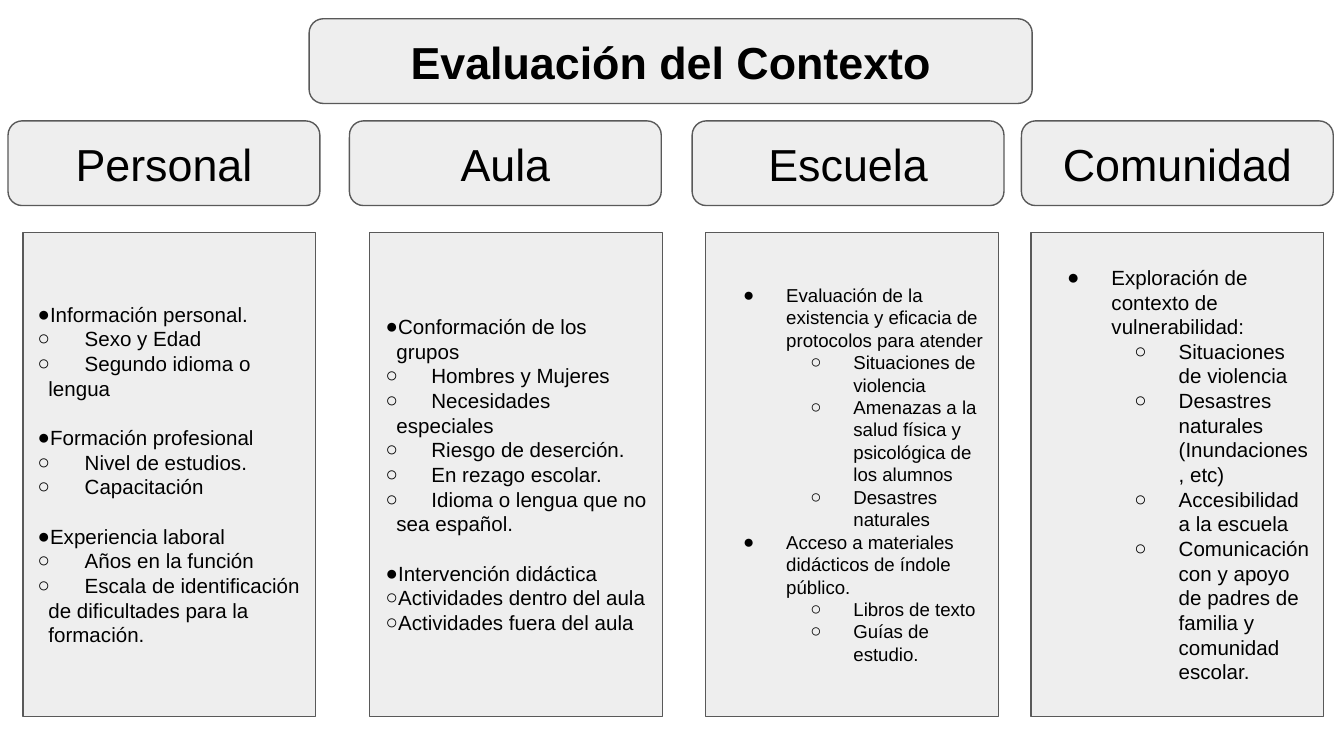
from lxml.etree import SubElement
from pptx import Presentation
from pptx.dml.color import RGBColor
from pptx.enum.shapes import MSO_SHAPE
from pptx.enum.text import MSO_ANCHOR, MSO_AUTO_SIZE, PP_ALIGN
from pptx.oxml.ns import qn
from pptx.util import Inches, Pt

COLORS = {"fill": "EEEEEE", "line": "595959", "text": "000000"}
SLIDE_WIDTH = 10
TITLE_BOX = [Inches(length) for length in (2.3, 0.14, 5.38, 0.63)]
LIST_TOP, LIST_WIDTH, LIST_HEIGHT = 1.73, 2.18, 3.6
HEADING_TOP, HEADING_WIDTH, HEADING_HEIGHT = 0.9, 2.32, 0.63
GAP = 13.2  # points between groups of a list

# Each item is (level, text); a tab moves the first line in.
COLUMNS = [
    {"heading": "Personal", "heading_left": 0.06, "list_left": 0.17, "size": 11,
     "margins": (0.09, 0.09), "hanging": 0.08, "gap": GAP, "items": [
         (0, "Información personal."),
         (1, "\tSexo y Edad"),
         (1, "\tSegundo idioma o lengua"),
         (0, "Formación profesional"),
         (1, "\tNivel de estudios."),
         (1, "\tCapacitación"),
         (0, "Experiencia laboral"),
         (1, "\tAños en la función"),
         (1, "\tEscala de identificación de dificultades para la formación.")]},
    {"heading": "Aula", "heading_left": 2.6, "list_left": 2.75, "size": 11,
     "margins": (0.1, 0.1), "hanging": 0.08, "gap": GAP, "items": [
         (0, "Conformación de los grupos"),
         (1, "\tHombres y Mujeres"),
         (1, "\tNecesidades especiales"),
         (1, "\tRiesgo de deserción."),
         (1, "\tEn rezago escolar."),
         (1, "\tIdioma o lengua que no sea español."),
         (0, "Intervención didáctica"),
         (1, "Actividades dentro del aula"),
         (1, "Actividades fuera del aula")]},
    {"heading": "Escuela", "heading_left": 5.15, "list_left": 5.25, "size": 10,
     "margins": (0.5, 1), "hanging": 0.32, "gap": 0, "items": [
         (0, "Evaluación de la existencia y eficacia de protocolos para atender"),
         (1, "Situaciones de violencia"),
         (1, "Amenazas a la salud física y psicológica de los alumnos"),
         (1, "Desastres naturales"),
         (0, "Acceso a materiales didácticos de índole público."),
         (1, "Libros de texto"),
         (1, "Guías de estudio.")]},
    {"heading": "Comunidad", "heading_left": 7.6, "list_left": 7.67, "size": 11,
     "margins": (0.5, 1), "hanging": 0.33, "gap": 0, "items": [
         (0, "Exploración de contexto de vulnerabilidad:"),
         (1, "Situaciones de violencia"),
         (1, "Desastres naturales (Inundaciones, etc)"),
         (1, "Accesibilidad a la escuela"),
         (1, "Comunicación con y apoyo de padres de familia y comunidad escolar.")]},
]


def style_box(shape, filled=True):
    """Set even text insets and, when filled, the grey fill and thin outline."""
    if filled:
        shape.fill.solid()
        shape.fill.fore_color.rgb = RGBColor.from_string(COLORS["fill"])
        shape.line.color.rgb = RGBColor.from_string(COLORS["line"])
        shape.line.width = Pt(0.75)
    frame = shape.text_frame
    frame.word_wrap = True
    frame.auto_size = MSO_AUTO_SIZE.NONE
    frame.vertical_anchor = MSO_ANCHOR.MIDDLE
    frame.margin_left = frame.margin_right = Inches(0.1)
    frame.margin_top = frame.margin_bottom = Inches(0.1)


def style_font(paragraph, size, bold=False):
    paragraph.font.name = "Arial"
    paragraph.font.size = Pt(size)
    paragraph.font.bold = bold
    paragraph.font.color.rgb = RGBColor.from_string(COLORS["text"])


presentation = Presentation()
presentation.slide_width = Inches(SLIDE_WIDTH)
presentation.slide_height = Inches(SLIDE_WIDTH * 9 / 16)
# The Comparison layout has a title and four body placeholders.
slide = presentation.slides.add_slide(presentation.slide_layouts[4])
title, *lists = slide.placeholders

# The rounded box goes behind the title, which has no fill of its own.
title_box = slide.shapes.add_shape(MSO_SHAPE.ROUNDED_RECTANGLE, *TITLE_BOX)
title_box.shadow.inherit = False
style_box(title_box)
title.element.addprevious(title_box.element)
title.left, title.top, title.width, title.height = TITLE_BOX
style_box(title, filled=False)
title.text_frame.text = "Evaluación del Contexto"
title_paragraph = title.text_frame.paragraphs[0]
title_paragraph.alignment = PP_ALIGN.CENTER
style_font(title_paragraph, 24, bold=True)

for column, body in zip(COLUMNS, lists):
    heading = slide.shapes.add_shape(
        MSO_SHAPE.ROUNDED_RECTANGLE, Inches(column["heading_left"]),
        Inches(HEADING_TOP), Inches(HEADING_WIDTH), Inches(HEADING_HEIGHT))
    heading.shadow.inherit = False
    style_box(heading)
    heading.text_frame.text = column["heading"]
    heading_paragraph = heading.text_frame.paragraphs[0]
    heading_paragraph.alignment = PP_ALIGN.CENTER
    style_font(heading_paragraph, 24)

    body.left, body.top = Inches(column["list_left"]), Inches(LIST_TOP)
    body.width, body.height = Inches(LIST_WIDTH), Inches(LIST_HEIGHT)
    style_box(body)
    body.text_frame.text = "\n".join(text for _, text in column["items"])
    for index, (level, text) in enumerate(column["items"]):
        paragraph = body.text_frame.paragraphs[index]
        paragraph.level = level
        properties = paragraph._p.get_or_add_pPr()
        properties.set("marL", str(Inches(column["margins"][level])))
        properties.set("indent", str(-Inches(column["hanging"])))
        bullet_color = SubElement(properties, qn("a:buClr"))
        SubElement(bullet_color, qn("a:srgbClr"), val=COLORS["text"])
        SubElement(properties, qn("a:buFont"), typeface="Arial")
        SubElement(properties, qn("a:buChar"), char="●○"[level])
        if text.startswith("\t"):
            tabs = SubElement(properties, qn("a:tabLst"))
            SubElement(tabs, qn("a:tab"), pos=str(Inches(0.36)), algn="l")
        starts_group = index > 0 and level == 0
        paragraph.space_before = Pt(column["gap"] if starts_group else 0)
        style_font(paragraph, column["size"])

presentation.save("out.pptx")
